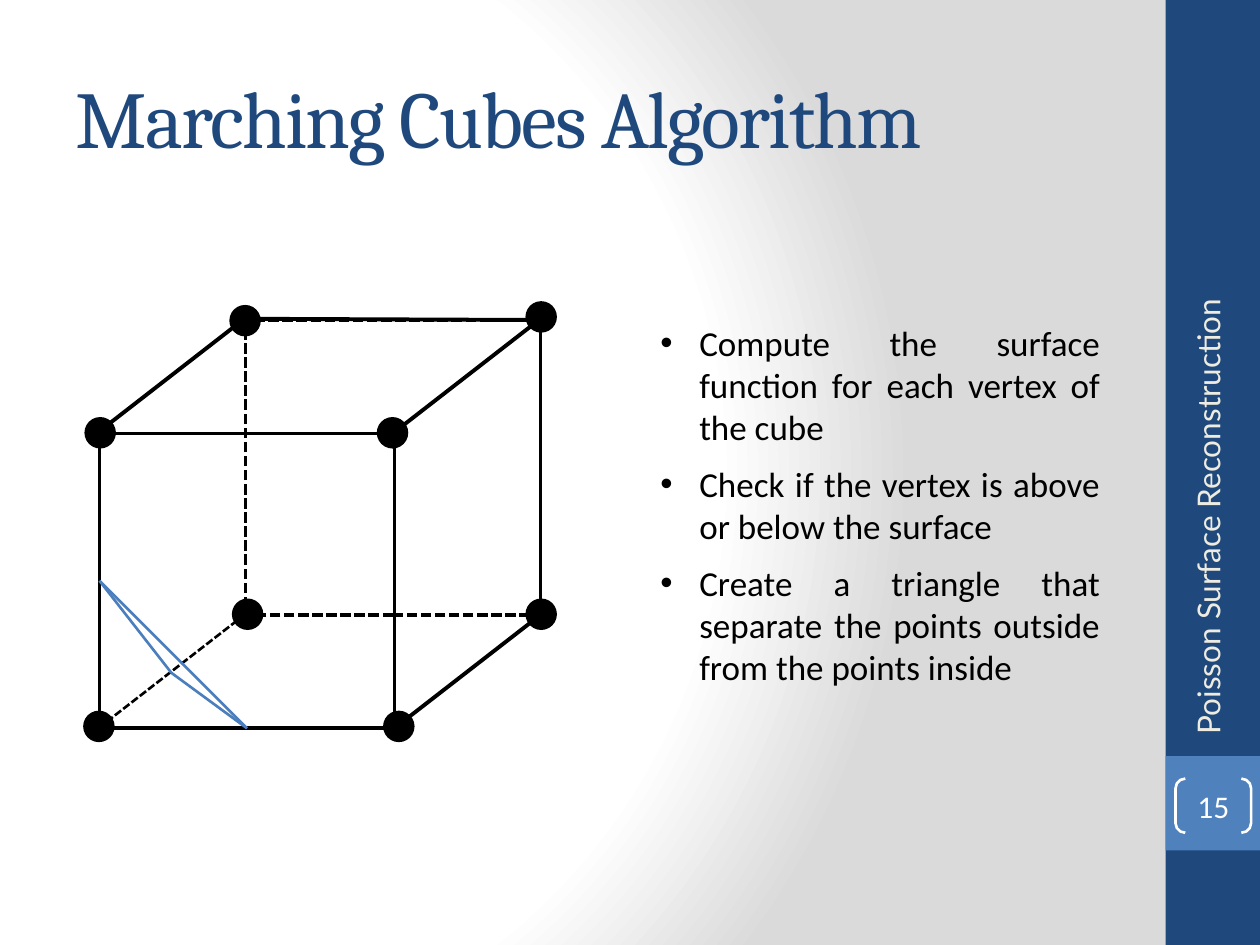
from lxml.etree import SubElement
from pptx import Presentation
from pptx.dml.color import RGBColor
from pptx.enum.dml import MSO_LINE
from pptx.enum.shapes import MSO_CONNECTOR, MSO_SHAPE
from pptx.enum.text import MSO_ANCHOR, MSO_AUTO_SIZE, PP_ALIGN
from pptx.oxml import parse_xml
from pptx.oxml.ns import nsdecls, qn
from pptx.util import Pt

PX = 9144

WHITE = RGBColor(0xFF, 0xFF, 0xFF)
GREY = RGBColor(0xDA, 0xDA, 0xDA)
BLACK = RGBColor(0x00, 0x00, 0x00)
NAVY = RGBColor(0x1F, 0x49, 0x7D)
BLUE = RGBColor(0x4F, 0x81, 0xBD)
TRIANGLE_BLUE = RGBColor(0x4B, 0x7E, 0xBC)
CREAM = RGBColor(0xEE, 0xEC, 0xE1)

STEPS = [
    "Compute the surface function for each vertex of the cube",
    "Check if the vertex is above or below the surface",
    "Create a triangle that separate the points outside from the points inside",
]


def scale(*lengths):
    return [length * PX for length in lengths]


def place(shape, box):
    shape.left, shape.top, shape.width, shape.height = scale(*box)


def add_run(paragraph, text, font_name, size, color):
    run = paragraph.add_run()
    run.text = text
    run.font.name = font_name
    run.font.size = Pt(size)
    run.font.color.rgb = color
    return run


def add_shape(slide, kind, box, fill=None, line=None, width=1, dash=None):
    shape = slide.shapes.add_shape(kind, *scale(*box))
    shape.shadow.inherit = False
    if fill is None:
        shape.fill.background()
    else:
        shape.fill.solid()
        shape.fill.fore_color.rgb = fill
    if line is None:
        shape.line.fill.background()
    else:
        shape.line.color.rgb = line
        shape.line.width = Pt(width)
        shape.line.dash_style = dash
    return shape


def add_line(slide, start, end, color, width, dash=None):
    connector = slide.shapes.add_connector(
        MSO_CONNECTOR.STRAIGHT, *scale(*start, *end))
    connector.line.color.rgb = color
    connector.line.width = Pt(width)
    connector.line.dash_style = dash
    SubElement(connector._element.spPr, qn("a:effectLst"))


def paint_background(slide):
    stops = "".join(
        f'<a:gs pos="{position * 1000}"><a:srgbClr val="{color}"/></a:gs>'
        for position, color in [(0, WHITE), (75, WHITE), (100, GREY)])
    background = parse_xml(
        f'<p:bg {nsdecls("p", "a")}><p:bgPr><a:gradFill rotWithShape="1">'
        f'<a:gsLst>{stops}</a:gsLst><a:path path="circle">'
        '<a:fillToRect l="20000" t="50000" r="100000" b="50000"/></a:path>'
        '</a:gradFill><a:effectLst/></p:bgPr></p:bg>')
    slide._element.cSld.insert(0, background)


def fill_title(title, box):
    place(title, box)
    frame = title.text_frame
    frame.auto_size = MSO_AUTO_SIZE.NONE
    frame.vertical_anchor = MSO_ANCHOR.MIDDLE
    paragraph = frame.paragraphs[0]
    paragraph.alignment = PP_ALIGN.LEFT
    run = add_run(paragraph, "Marching Cubes Algorithm", "Cambria", 46, NAVY)
    run.font._element.set("spc", "-100")


def fill_steps(body, box):
    place(body, box)
    frame = body.text_frame
    frame.auto_size = MSO_AUTO_SIZE.NONE
    frame.vertical_anchor = MSO_ANCHOR.TOP
    for index, step in enumerate(STEPS):
        paragraph = frame.add_paragraph() if index else frame.paragraphs[0]
        properties = paragraph._element.get_or_add_pPr()
        properties.set("marL", str(31 * PX))
        properties.set("indent", str(-31 * PX))
        SubElement(properties, qn("a:buFont"), typeface="Arial")
        SubElement(properties, qn("a:buChar"), char="•")
        paragraph.alignment = PP_ALIGN.JUSTIFY
        paragraph.space_before = Pt(8.5 if index else 0)
        add_run(paragraph, step, "Calibri", 20, BLACK)


def draw_sidebar(slide, box):
    left, top, width, height = box
    add_shape(slide, MSO_SHAPE.RECTANGLE, box, NAVY)
    add_shape(slide, MSO_SHAPE.RECTANGLE,
              (left, top + 600, width, width), BLUE)

    number = add_shape(slide, MSO_SHAPE.DOUBLE_BRACKET,
                       (left + 8, top + 618, 60, 43), None, WHITE, 1.5)
    number.adjustments[0] = 0.18
    frame = number.text_frame
    frame.margin_left = frame.margin_right = 0
    frame.margin_top = frame.margin_bottom = 0
    frame.vertical_anchor = MSO_ANCHOR.MIDDLE
    paragraph = frame.paragraphs[0]
    paragraph.alignment = PP_ALIGN.CENTER
    add_run(paragraph, "15", "Calibri", 18, WHITE)

    label = slide.shapes.add_textbox(*scale(left - 220, top + 319, 507, 40))
    label.rotation = 270
    label.text_frame.word_wrap = True
    label.text_frame.vertical_anchor = MSO_ANCHOR.MIDDLE
    add_run(label.text_frame.paragraphs[0], "Poisson Surface Reconstruction",
            "Lato", 18, CREAM)


def draw_cube(slide, box):
    left, top, width, height = box
    side, dot = 234, 25

    def at(x, y):
        return left + x, top + y

    add_shape(slide, MSO_SHAPE.RECTANGLE, (*at(13, 105), side, side),
              None, BLACK, 2)
    add_shape(slide, MSO_SHAPE.RECTANGLE, (*at(129, 15), side, side),
              None, BLACK, 2, MSO_LINE.SQUARE_DOT)

    for x in (12, 247):
        for y in (104, 339):
            hidden = (x, y) == (12, 339)
            add_line(slide, at(x, y), at(x + 116, y - 90), BLACK,
                     1.5 if hidden else 2.25,
                     MSO_LINE.SQUARE_DOT if hidden else None)
    add_line(slide, at(128, 14), at(363, 15), BLACK, 2.25)
    add_line(slide, at(363, 17), at(363, 251), BLACK, 2.25)

    vertices = [(0, 325), (1, 92), (116, 3), (351, 0),
                (351, 236), (238, 325), (233, 92), (118, 236)]
    for vertex in vertices:
        add_shape(slide, MSO_SHAPE.OVAL, (*at(*vertex), dot, dot), BLACK)

    triangle = [(130, 339), (13, 222), (70, 295)]
    for start, end in zip(triangle, triangle[1:] + triangle[:1]):
        add_line(slide, at(*start), at(*end), TRIANGLE_BLUE, 1.5)


def main():
    presentation = Presentation()
    presentation.slide_width, presentation.slide_height = scale(1000, 750)
    slide = presentation.slides.add_slide(presentation.slide_layouts[1])
    paint_background(slide)
    draw_sidebar(slide, (925, 0, 75, 750))
    fill_title(slide.shapes.title, (50, 30, 833, 125))
    draw_cube(slide, (66, 239, 376, 350))
    fill_steps(slide.placeholders[1], (514, 250, 369, 301))
    presentation.save("out.pptx")


if __name__ == "__main__":
    main()
